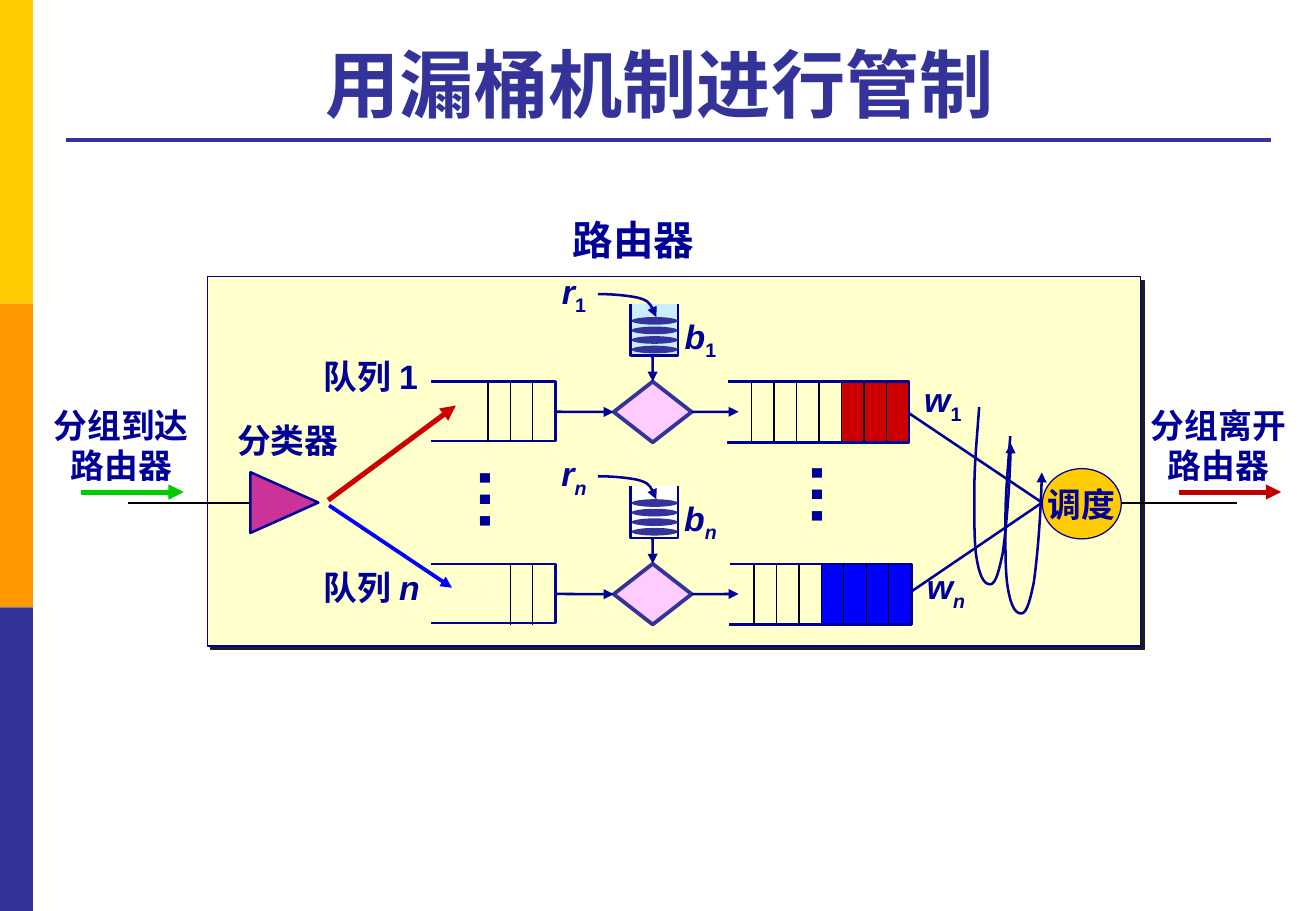
import lxml.etree
import pptx
import pptx.dml.color
import pptx.enum.shapes
import pptx.enum.text
import pptx.oxml.ns
import pptx.util

Cm = pptx.util.Cm
Pt = pptx.util.Pt
RGBColor = pptx.dml.color.RGBColor
SHAPE = pptx.enum.shapes.MSO_SHAPE
ALIGN = pptx.enum.text.PP_ALIGN
ANCHOR = pptx.enum.text.MSO_ANCHOR
qn = pptx.oxml.ns.qn

WHITE = RGBColor(0xFF, 0xFF, 0xFF)
BLACK = RGBColor(0x00, 0x00, 0x00)
NAVY = RGBColor(0x00, 0x00, 0x99)
INDIGO = RGBColor(0x33, 0x33, 0x99)
GOLD = RGBColor(0xFF, 0xCC, 0x00)
ORANGE = RGBColor(0xFF, 0x99, 0x00)
CREAM = RGBColor(0xFF, 0xFF, 0xCC)
RED = RGBColor(0xCC, 0x00, 0x00)
DARK_RED = RGBColor(0xC0, 0x00, 0x00)
GREEN = RGBColor(0x00, 0xCC, 0x00)
BLUE = RGBColor(0x00, 0x00, 0xFF)
MAGENTA = RGBColor(0xCC, 0x33, 0x99)
PINK = RGBColor(0xFF, 0xCC, 0xFF)
WATER = RGBColor(0xCC, 0xEC, 0xFF)

ROW_STEP = 3.81
PACKET = 0.47
HOSE = [(12.5, 6.15), (12.75, 6.15), (13.05, 6.17), (13.31, 6.22),
        (13.55, 6.28), (13.64, 6.4), (13.72, 6.63)]
SCAN = [(20.47, 8.51), (20.42, 9.2), (20.37, 9.7), (20.37, 10.21),
        (20.37, 10.7), (20.36, 11.15), (20.4, 11.56),
        (20.46, 12), (20.55, 12.22), (20.7, 12.22),
        (20.83, 12.22), (20.9, 11.85), (20.96, 11.58),
        (21.05, 10.95), (21.12, 9.9), (21.13, 9.27)]


class Diagram:
    font = "Arial"

    def __init__(self, slide):
        self.slide = slide

    def finish(self, item, fill, line, width):
        if fill is None:
            item.fill.background()
        else:
            item.fill.solid()
            item.fill.fore_color.rgb = fill
        if line is None:
            item.line.fill.background()
        else:
            item.line.color.rgb = line
            item.line.width = Pt(width)
        item.shadow.inherit = False
        return item

    def shape(self, kind, left, top, width, height, fill, line=None, weight=1.5, group=None):
        shapes = (group or self.slide).shapes
        item = shapes.add_shape(kind, Cm(left), Cm(top), Cm(width), Cm(height))
        return self.finish(item, fill, line, weight)

    def outline(self, points, fill=None):
        corners = [(Cm(x), Cm(y)) for x, y in points]
        builder = self.slide.shapes.build_freeform(*corners[0])
        builder.add_line_segments(corners[1:], close=False)
        return self.finish(builder.convert_to_shape(), fill, NAVY, 1.5)

    def arrowhead(self, item):
        line = item.element.spPr.find(qn("a:ln"))
        lxml.etree.SubElement(line, qn("a:tailEnd"), type="triangle")

    def curve(self, points, dx=0, dy=0):
        item = self.outline([(x + dx, y + dy) for x, y in points])
        segments = list(item.element.iter(qn("a:lnTo")))
        route = segments[0].getparent()
        for first in range(0, len(segments), 3):
            bend = lxml.etree.SubElement(route, qn("a:cubicBezTo"))
            for segment in segments[first:first + 3]:
                bend.append(segment[0])
                route.remove(segment)
        self.arrowhead(item)

    def line(self, x1, y1, x2, y2, color=NAVY, weight=1.5, arrow=False):
        item = self.slide.shapes.add_connector(
            pptx.enum.shapes.MSO_CONNECTOR.STRAIGHT, Cm(x1), Cm(y1), Cm(x2), Cm(y2))
        item.line.color.rgb = color
        item.line.width = Pt(weight)
        if arrow:
            self.arrowhead(item)
        lxml.etree.SubElement(item.element.spPr, qn("a:effectLst"))
        return item

    def set_text(self, item, text, size=20, color=NAVY, align=ALIGN.CENTER, wrap=False,
                 italic=False, suffix=None, suffix_italic=False, subscript=False):
        frame = item.text_frame
        frame.text = text
        frame.word_wrap = wrap
        if suffix:
            frame.paragraphs[0].add_run().text = suffix
        for para in frame.paragraphs:
            para.alignment = align
            for span in para.runs:
                span.font.name = self.font
                span.font.size = Pt(size)
                span.font.bold = True
                span.font.italic = italic
                span.font.color.rgb = color
        if suffix:
            frame.paragraphs[0].runs[-1].font.italic = suffix_italic
        if subscript:
            list(item.element.iter(qn("a:rPr")))[-1].set("baseline", "-25000")

    def label(self, text, left, top, width, height, **style):
        box = self.slide.shapes.add_textbox(Cm(left), Cm(top), Cm(width), Cm(height))
        self.set_text(box, text, **style)
        return box

    def symbol(self, letter, index, left, top, width, spacing=None):
        box = self.label(letter, left, top, width, 1.13, italic=True, suffix=index,
                         suffix_italic=index == "n", subscript=True)
        if spacing:
            box.text_frame.paragraphs[0].line_spacing = spacing

    def dots(self, left, top):
        box = self.label("…", left, top, 1.93, 1.96, size=40, align=ALIGN.LEFT)
        box.rotation = 270

    def queue(self, left, right, top, height, dividers, lean=0):
        self.outline([(left + lean, top), (right, top), (right, top + height), (left, top + height)])
        for number in range(1, dividers + 1):
            x = right - number * PACKET
            self.line(x, top, x, top + 1.27, BLACK, 0.75)

    def flow(self, index, row, waiting, packets, packet_color, water, end):
        dy = row * ROW_STEP
        top = 7.98 + dy
        middle = top + 0.63
        self.queue(9.02, 11.61, top, 1.24, waiting)
        self.shape(SHAPE.RECTANGLE, end - packets * PACKET, top, packets * PACKET, 1.27, packet_color)
        self.queue(end - 3.81, end, top, 1.27, 7, 0.03)
        gate = self.shape(SHAPE.DIAMOND, 12.83, top, 1.63, 1.27, PINK, INDIGO, 2.25)
        self.line(11.61, middle, 12.83, middle, arrow=True).end_connect(gate, 1)
        self.line(14.46, middle, 15.44, middle, arrow=True).begin_connect(gate, 3)
        self.line(13.64, 7.44 + dy, 13.64, top, arrow=True).end_connect(gate, 0)
        self.outline([(13.18, 6.35 + dy), (13.18, 7.44 + dy), (14.17, 7.44 + dy), (14.17, 6.35 + dy)], water)
        tokens = self.slide.shapes.add_group_shape()
        for number in range(4):
            self.shape(SHAPE.OVAL, 13.2, 6.63 + dy + number * 0.2, 0.97, 0.16, INDIGO, group=tokens)
        self.curve(HOSE, 0, dy)
        self.symbol("b", index, 14.03, 6.42 + dy, 1.23, 1.05)
        self.symbol("r", index, 11.47, 5.49 + dy, 1.06, 1.05)
        self.curve(SCAN, row * 0.65, row * 0.61)


def main():
    deck = pptx.Presentation()
    deck.slide_width = Cm(27.51)
    deck.slide_height = Cm(19.05)
    page = Diagram(deck.slides.add_slide(deck.slide_layouts[6]))

    for number, color in enumerate((GOLD, ORANGE, INDIGO)):
        page.shape(SHAPE.RECTANGLE, 0, number * 6.35, 0.69, 6.35, color)
    page.line(1.37, 2.92, 26.57, 2.92, INDIGO, 2.25)
    title = page.label("用漏桶机制进行管制 ", 1.4, 0.53, 25.15, 2.26, size=44, color=INDIGO, wrap=True)
    title.text_frame.vertical_anchor = ANCHOR.BOTTOM

    router = page.shape(SHAPE.RECTANGLE, 4.34, 5.79, 19.51, 7.72, CREAM, NAVY, 0.75)
    effects = router.element.spPr.find(qn("a:effectLst"))
    shadow = lxml.etree.SubElement(effects, qn("a:outerShdw"), dist="35560", dir="2700000", algn="ctr", rotWithShape="0")
    lxml.etree.SubElement(shadow, qn("a:srgbClr"), val="1C1C1C")
    page.label("路由器", 11.71, 4.37, 3.07, 1.27, size=24)

    for left, text, color in ((0.86, "分组到达\n路由器", GREEN), (23.8, "分组离开\n路由器", DARK_RED)):
        page.label(text, left, 8.33, 3.35, 1.96)
        page.line(left + 0.84, 10.29, left + 2.98, 10.29, color, 3, True)
    for left in (2.67, 23.32):
        page.line(left, 10.52, left + 2.54, 10.52, BLACK, 0.75)

    classifier = page.shape(SHAPE.ISOSCELES_TRIANGLE, 5.31, 9.8, 1.27, 1.42, MAGENTA, NAVY)
    classifier.rotation = 90
    page.label("分类器", 4.7, 8.66, 2.64, 1.12)
    scheduler = page.shape(SHAPE.OVAL, 21.79, 9.8, 1.65, 1.47, GOLD, NAVY, 0.75)
    page.set_text(scheduler, "调度")
    scheduler.text_frame.vertical_anchor = ANCHOR.MIDDLE

    page.flow("1", 0, 3, 3, RED, WATER, 19)
    page.flow("n", 1, 2, 4, BLUE, WHITE, 19.05)

    page.line(6.86, 10.46, 9.53, 8.48, RED, 3, True)
    page.line(6.88, 10.57, 9.45, 12.29, BLUE, 2.25, True)
    page.line(19, 8.64, 21.77, 10.5)
    page.line(19.05, 12.37, 21.77, 10.52)
    page.symbol("w", "1", 19.05, 7.8, 1.32)
    page.symbol("w", "n", 19.1, 11.71, 1.35)
    for index, top in (("1", 7.32), ("n", 11.73)):
        page.label("队列 ", 6.52, top, 2.84, 1.09, align=ALIGN.LEFT, wrap=True,
                   suffix=index, suffix_italic=index == "n")
    page.dots(8.74, 9.45)
    page.dots(15.67, 9.35)

    deck.save("out.pptx")


if __name__ == "__main__":
    main()
